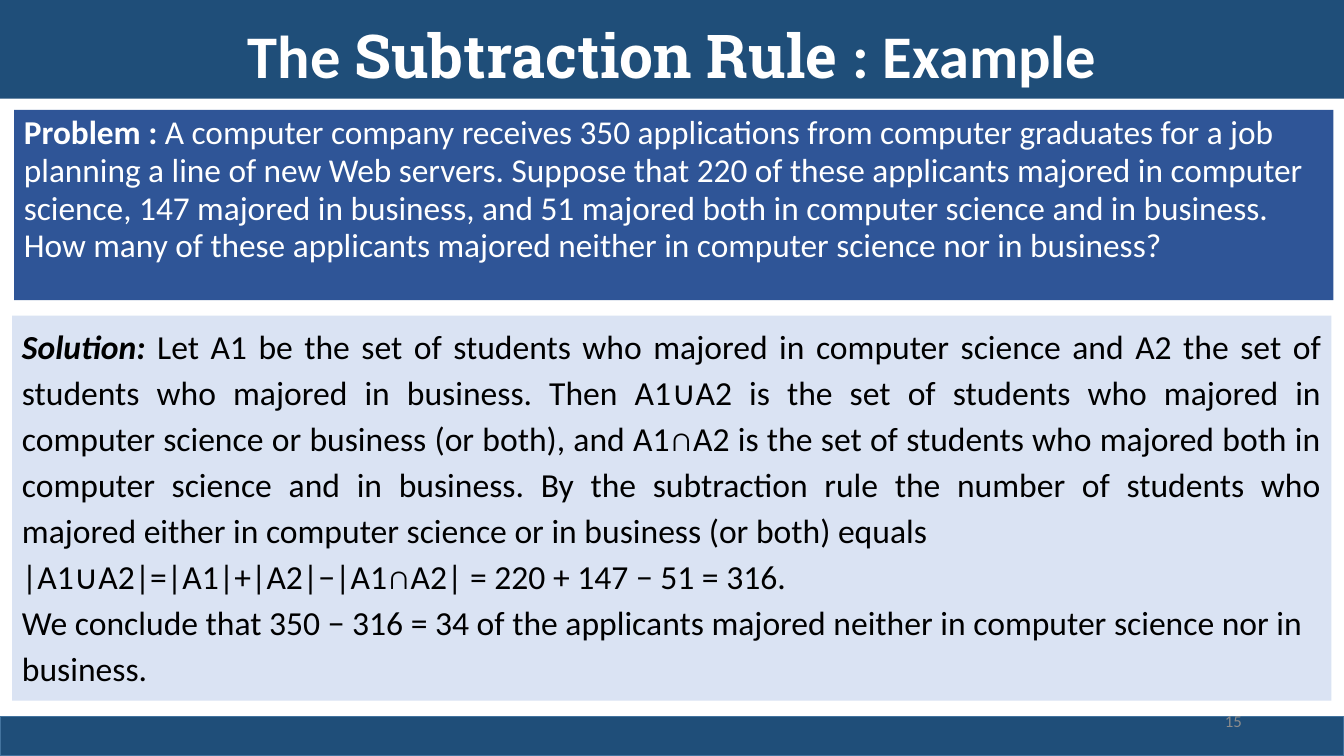
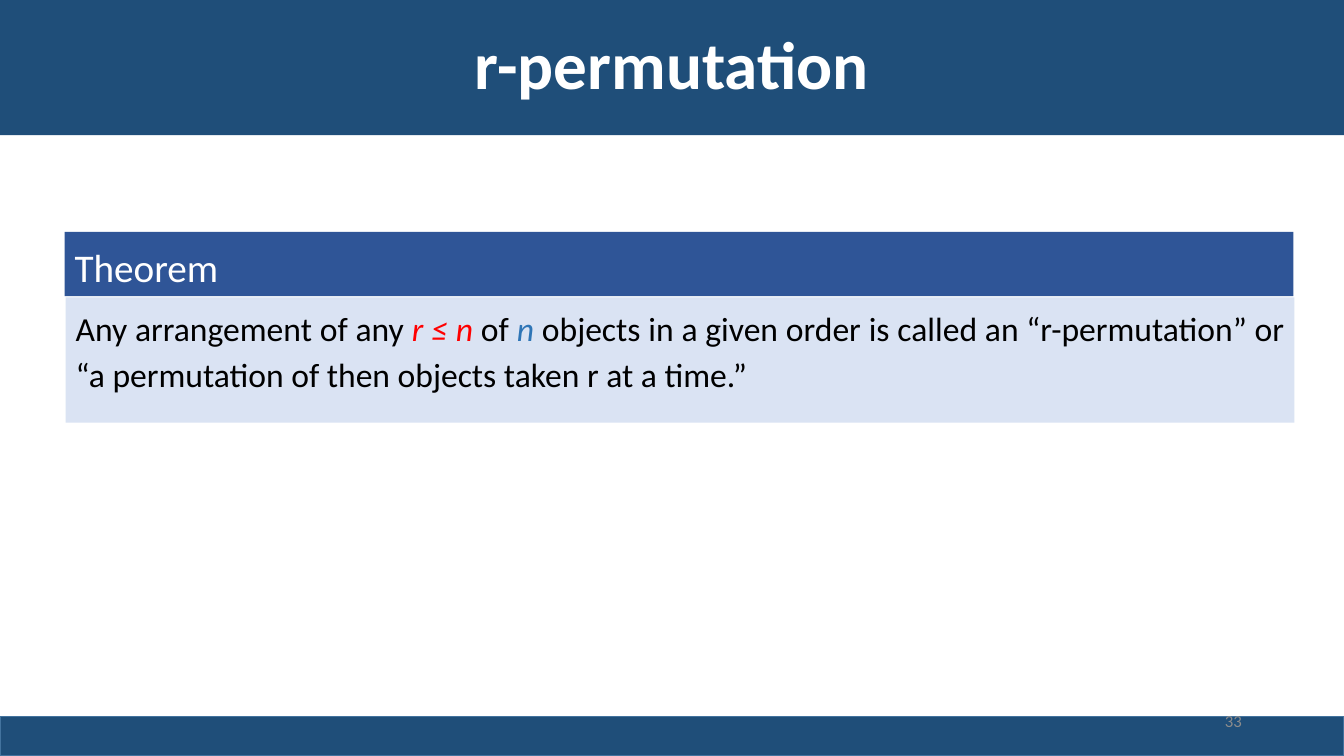
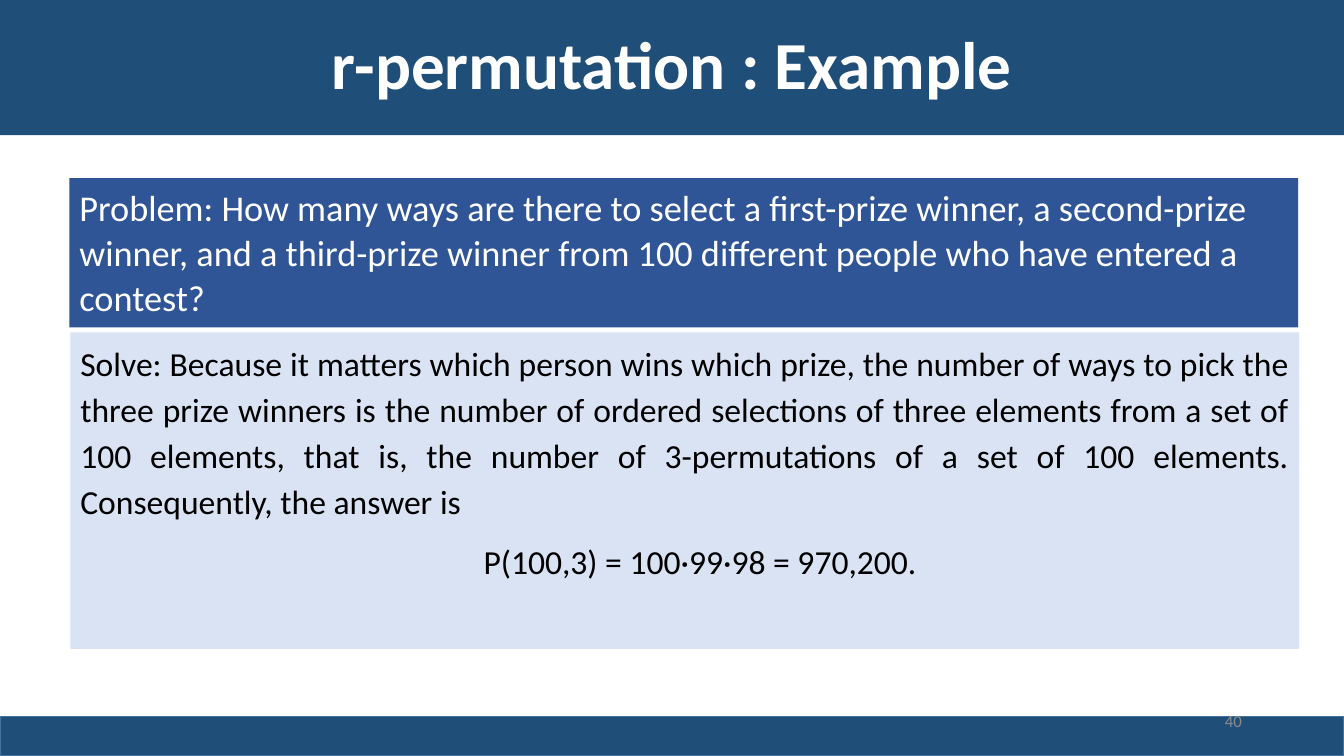
"""Build three slides on counting rules and permutations."""
from dataclasses import dataclass

from pptx import Presentation
from pptx.dml.color import RGBColor
from pptx.enum.shapes import MSO_SHAPE
from pptx.enum.text import MSO_ANCHOR, PP_ALIGN
from pptx.util import Pt


@dataclass(frozen=True)
class Theme:
    font: str = "Calibri"
    slab: str = "Roboto Slab"
    band: str = "1F4E79"
    edge: str = "43739E"
    head: str = "2F5597"
    pale: str = "DAE3F3"
    white: str = "FFFFFF"
    black: str = "000000"
    red: str = "FF0000"
    blue: str = "2E75B6"
    grey: str = "8C8C8C"
    title: float = 48
    small: float = 43.2
    label: float = 28
    ask: float = 25.9
    brief: float = 23.8
    body: float = 24
    page: float = 12


class Deck:
    def __init__(self, theme):
        self.theme = theme
        self.file = Presentation()
        self.file.slide_width = Pt(960)
        self.file.slide_height = Pt(540)
        self.slide = None

    def rect(self, area, fill, edge=None):
        box = self.slide.shapes.add_shape(MSO_SHAPE.RECTANGLE, *map(Pt, area))
        box.shadow.inherit = False
        box.fill.solid()
        box.fill.fore_color.rgb = RGBColor.from_string(fill)
        if edge:
            box.line.color.rgb = RGBColor.from_string(edge)
            box.line.width = Pt(1)
        else:
            box.line.fill.background()
        return box

    def text(self, box, size, color, runs, align=PP_ALIGN.LEFT, space=1.0,
             anchor=MSO_ANCHOR.TOP, gap=0, indent=0, bold=False):
        frame = box.text_frame
        frame.word_wrap = True
        frame.vertical_anchor = anchor
        para = frame.paragraphs[0]
        if para.runs:
            para = frame.add_paragraph()
            para.space_before = Pt(gap)
        if indent:
            para._p.get_or_add_pPr().set("marL", str(Pt(indent)))
        para.alignment = align
        para.line_spacing = space
        for words, style in runs:
            run = para.add_run()
            run.text = words
            font = run.font
            font.name = style.get("font", self.theme.font)
            font.size = Pt(size)
            font.bold = style.get("bold", bold)
            font.italic = style.get("ital", False)
            font.color.rgb = RGBColor.from_string(style.get("color", color))

    def page(self, num, runs, high=96.5, size=None, space=0.9):
        look = self.theme
        self.slide = self.file.slides.add_slide(self.file.slide_layouts[6])
        top = self.rect((0, 0, 960, high), look.band)
        self.text(top, size or look.title, look.white, runs, PP_ALIGN.CENTER,
                  space, MSO_ANCHOR.MIDDLE, bold=True)
        self.rect((0, 512, 960, 28), look.band, look.edge)
        box = self.slide.shapes.add_textbox(*map(Pt, (678.2, 500.4, 216, 28.8)))
        self.text(box, look.page, look.grey, [(str(num), {})],
                  PP_ALIGN.RIGHT, anchor=MSO_ANCHOR.MIDDLE)

    def head(self, area, size, space, runs):
        box = self.rect(area, self.theme.head)
        self.text(box, size, self.theme.white, runs, space=space)

    def body(self, area, *paras):
        box = self.rect(area, self.theme.pale)
        for runs, style in paras:
            self.text(box, self.theme.body, self.theme.black, runs,
                      **{"align": PP_ALIGN.JUSTIFY, "space": 1.14, **style})


def main():
    look = Theme()
    deck = Deck(look)
    left = {"align": PP_ALIGN.LEFT}

    deck.page(15, [("The ", {}), ("Subtraction Rule ", {"font": look.slab}),
                   (": Example", {})], 70.5, look.small, 1.14)
    deck.head((10, 78.5, 942.5, 136), look.brief, 0.94, [
        ("Problem : ", {"bold": True}),
        ("A computer company receives 350 applications from computer graduates "
         "for a job planning a line of new Web servers. Suppose that 220 of "
         "these applicants majored in computer science, 147 majored in "
         "business, and 51 majored both in computer science and in business. "
         "How many of these applicants majored neither in computer science nor "
         "in business?", {})])
    deck.body(
        (8.6, 225.5, 942.5, 275),
        ([("Solution: ", {"bold": True, "ital": True}),
          ("Let A1 be the set of students who majored in computer science and "
           "A2 the set of students who majored in business. Then A1∪A2 is the "
           "set of students who majored in computer science or business (or "
           "both), and A1∩A2 is the set of students who majored both in "
           "computer science and in business. By the subtraction rule the "
           "number of students who majored either in computer science or in "
           "business (or both) equals", {})], {}),
        ([("|A1∪A2|=|A1|+|A2|−|A1∩A2| = 220 + 147 − 51 = 316.", {})], left),
        ([("We conclude that 350 − 316 = 34 of the applicants majored neither "
           "in computer science nor in business.", {})], left))

    deck.page(33, [("r-permutation", {})])
    deck.head((46.2, 165.6, 877.7, 46), look.label, 1.14, [("Theorem", {})])
    deck.body(
        (46.9, 212.4, 877.7, 89.5),
        ([("Any arrangement of any ", {}),
          ("r ≤ n", {"color": look.red, "ital": True}),
          (" of ", {}),
          ("n ", {"color": look.blue, "ital": True}),
          ("objects in a given order is called an “r-permutation” or “a "
           "permutation of then objects taken r at a time.”", {})], {}))

    deck.page(40, [("r-permutation : Example", {})])
    deck.head((49.6, 127.2, 877.7, 106.6), look.ask, 1.04, [
        ("Problem: How many ways are there to select a first-prize winner, a "
         "second-prize winner, and a third-prize winner from 100 different "
         "people who have entered a contest?", {})])
    deck.body(
        (50.3, 237.5, 877.7, 226),
        ([("Solve: Because it matters which person wins which prize, the "
           "number of ways to pick the three prize winners is the number of "
           "ordered selections of three elements from a set of 100 elements, "
           "that is, the number of 3-permutations of a set of 100 elements. "
           "Consequently, the answer is", {})], {}),
        ([("P(100,3) = 100·99·98 = 970,200.", {})],
         {**left, "gap": 10, "indent": 288}))

    deck.file.save("out.pptx")


if __name__ == "__main__":
    main()
